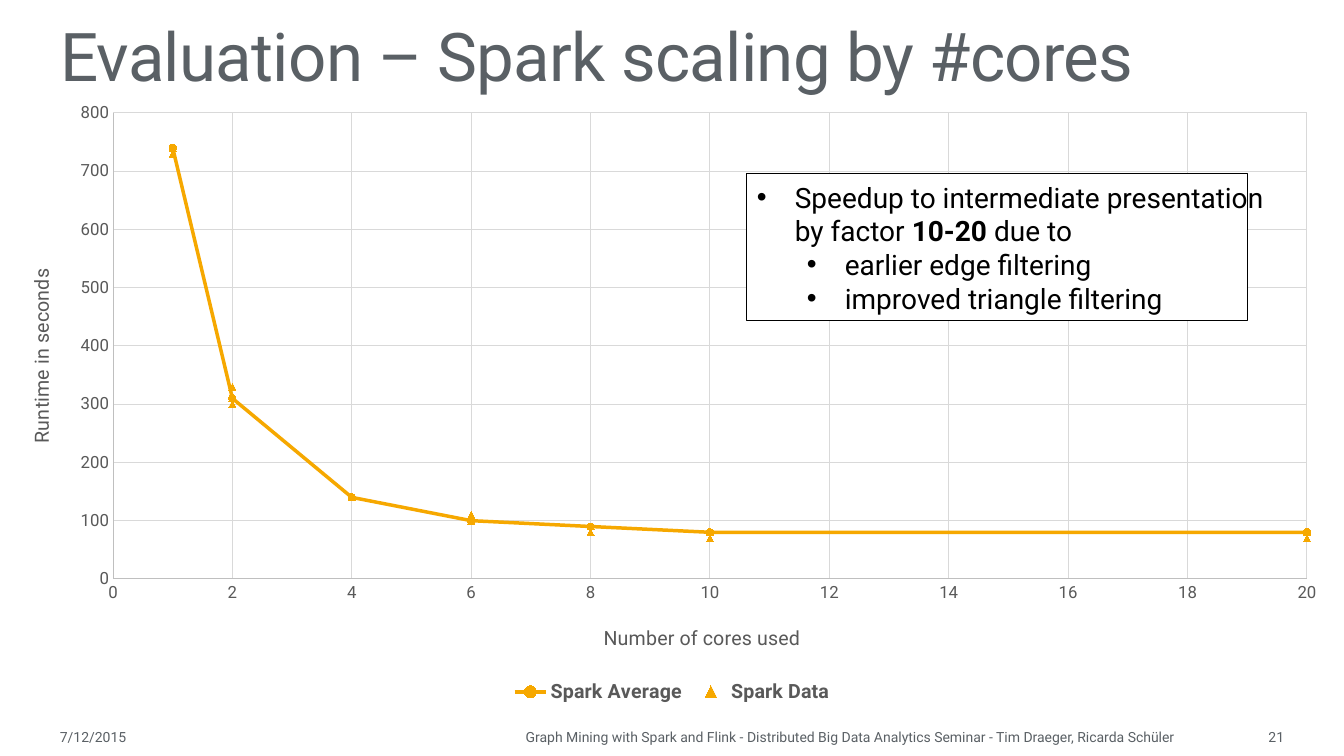
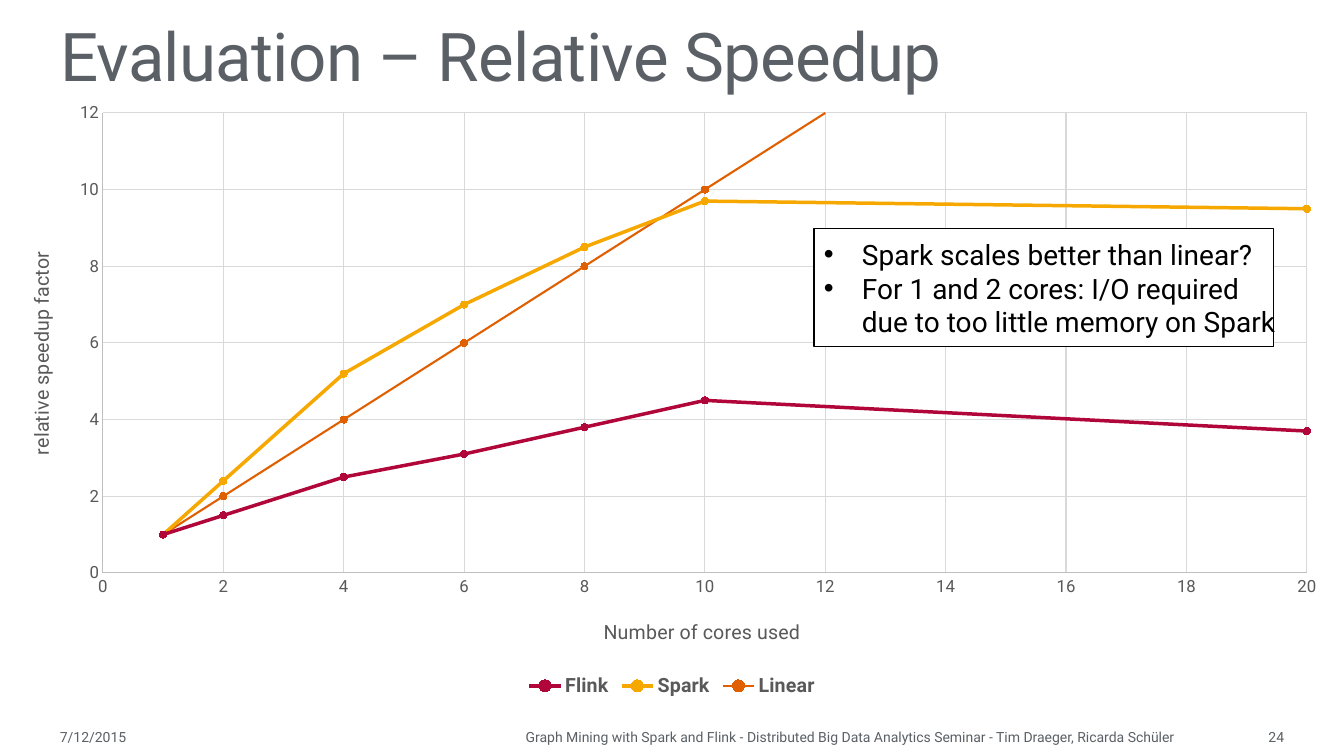
from pptx import Presentation
from pptx.chart.data import XyChartData
from pptx.dml.color import RGBColor
from pptx.enum.chart import XL_CHART_TYPE, XL_LEGEND_POSITION, XL_MARKER_STYLE, XL_TICK_MARK
from pptx.enum.shapes import MSO_SHAPE
from pptx.enum.text import MSO_ANCHOR, MSO_AUTO_SIZE, PP_ALIGN
from pptx.oxml import parse_xml
from pptx.oxml.ns import nsdecls, qn
from pptx.util import Emu, Pt

FONT = "Roboto"
SLATE, GRAY, GRID, AXIS = "5A6065", "595959", "D9D9D9", "BFBFBF"
AMBER, CRIMSON, ORANGE = "F6A800", "B1063A", "E05F00"
CORES = [1, 2, 4, 6, 8, 10, 20]
FOOTER = ("Graph Mining with Spark and Flink - Distributed Big Data Analytics Seminar"
          " - Tim Draeger, Ricarda Schüler")
CIRCLE, TRIANGLE = XL_MARKER_STYLE.CIRCLE, XL_MARKER_STYLE.TRIANGLE


def px(*lengths):
    """Turn pixel lengths into EMU."""
    return [Emu(round(n * 6858000 / 756)) for n in lengths]


def color(value):
    """Turn a hex string into a colour."""
    return RGBColor.from_string(value)


def style(font, size, hue, bold=False):
    """Apply the deck font with a size, colour and weight."""
    font.name, font.size, font.bold = FONT, Pt(size), bold
    font.color.rgb = color(hue)


def outline(line, hue, width):
    """Give a line a colour and a width in points."""
    line.color.rgb, line.width = color(hue), Pt(width)


def manual_layout(parent, index, **fractions):
    """Pin a chart part at fractions of the chart area."""
    for old in parent.findall(qn("c:layout")):
        parent.remove(old)
    target = '<c:layoutTarget val="inner"/>' if "w" in fractions else ""
    values = "".join(f'<c:{k} val="{v:.4f}"/>' for k, v in fractions.items())
    parent.insert(index, parse_xml(
        f'<c:layout {nsdecls("c")}><c:manualLayout>{target}<c:xMode val="edge"/>'
        f'<c:yMode val="edge"/>{values}</c:manualLayout></c:layout>'))


class Deck:
    """Holds the presentation, its style and the current slide."""

    def __init__(self):
        """Start an empty widescreen presentation."""
        self.prs = Presentation()
        self.prs.slide_width, self.prs.slide_height = px(1344, 756)

    def slide(self, title, number):
        """Add a slide with its title and footer."""
        self.s = self.prs.slides.add_slide(self.prs.slide_layouts[5])
        sp = self.s.shapes.title
        sp.left, sp.top, sp.width, sp.height = px(50, 0, 1113, 100)
        tf = sp.text_frame
        tf.text = title
        tf.auto_size, tf.vertical_anchor = MSO_AUTO_SIZE.NONE, MSO_ANCHOR.BOTTOM
        p = tf.paragraphs[0]
        p.alignment, p.line_spacing = PP_ALIGN.LEFT, 0.85
        r = p.runs[0]
        style(r.font, 48, SLATE)
        r.font._element.set("spc", "-50")
        self.footer("7/12/2015", 50, 106, PP_ALIGN.LEFT)
        self.footer(FOOTER, 160, 1024, PP_ALIGN.RIGHT)
        self.footer(str(number), 1188, 106, PP_ALIGN.RIGHT)

    def footer(self, text, left, width, align):
        """Add one footer text."""
        tf = self.s.shapes.add_textbox(*px(left, 717, width, 39)).text_frame
        tf.text, tf.word_wrap, tf.vertical_anchor = text, True, MSO_ANCHOR.MIDDLE
        p = tf.paragraphs[0]
        p.alignment = align
        style(p.runs[0].font, 10, SLATE)

    def callout(self, box, items):
        """Add a framed bullet list; ** marks bold text."""
        sp = self.s.shapes.add_shape(MSO_SHAPE.RECTANGLE, *px(*box))
        sp.shadow.inherit = False
        sp.fill.solid()
        sp.fill.fore_color.rgb = color("FFFFFF")
        outline(sp.line, "000000", 0.75)
        tf = sp.text_frame
        tf.word_wrap = False
        for i, (level, text) in enumerate(items):
            p = tf.add_paragraph() if i else tf.paragraphs[0]
            first, *rest = text.split("**")
            p.text = first
            for piece in rest:
                p.add_run().text = piece
            p.level, p.alignment = level, PP_ALIGN.LEFT
            margin, hang = px(38 + 50 * level, 38)
            pPr = p._p.get_or_add_pPr()
            pPr.set("marL", str(margin))
            pPr.set("indent", str(-hang))
            pPr.append(parse_xml(f'<a:buFont {nsdecls("a")} typeface="Arial"/>'))
            pPr.append(parse_xml(f'<a:buChar {nsdecls("a")} char="•"/>'))
            for r in p.runs:
                style(r.font, 20, "000000", r.text in rest[::2])

    def axis(self, axis, title, top, unit, spot):
        """Format one axis and place its title."""
        axis.minimum_scale, axis.maximum_scale, axis.major_unit = 0, top, unit
        axis.major_tick_mark = axis.minor_tick_mark = XL_TICK_MARK.NONE
        axis.has_major_gridlines = True
        outline(axis.major_gridlines.format.line, GRID, 0.75)
        outline(axis.format.line, AXIS, 0.75)
        style(axis.tick_labels.font, 12, GRAY)
        tf = axis.axis_title.text_frame
        tf.text = title
        style(tf.paragraphs[0].runs[0].font, 14, GRAY)
        manual_layout(axis.axis_title._element, 1, x=spot[0], y=spot[1])

    def scatter(self, box, plot, y_title, y_spot, y_top, y_unit, series, hidden=()):
        """Add a scatter chart of values by number of cores."""
        data = XyChartData()
        for name, values, *_ in series:
            xy = data.add_series(name)
            for point in zip(CORES, values):
                xy.add_data_point(*point)
        chart = self.s.shapes.add_chart(
            XL_CHART_TYPE.XY_SCATTER_LINES, *px(*box), data).chart
        left, top, width, height = box
        x0, y0, x1, y1 = plot

        def spot(x, y):
            return (x - left) / width, (y - top) / height

        chart.has_title = False
        style(chart.font, 10, "000000")
        self.axis(chart.category_axis, "Number of cores used", 20, 2, spot(600, y1 + 42))
        self.axis(chart.value_axis, y_title, y_top, y_unit, spot(24, y_spot))
        body = chart.value_axis.axis_title._element.find(".//" + qn("a:bodyPr"))
        body.set("rot", "-5400000")
        body.set("vert", "horz")
        x, y = spot(x0, y0)
        manual_layout(chart._chartSpace.chart.plotArea, 0, x=x, y=y,
                      w=(x1 - x0) / width, h=(y1 - y0) / height)
        chart.plots[0].vary_by_categories = False
        for ser, (_, _, hue, line_width, marker) in zip(chart.plots[0].series, series):
            ser.smooth = False
            if line_width:
                outline(ser.format.line, hue, line_width)
            else:
                ser.format.line.fill.background()
            ser.marker.style, ser.marker.size = marker, 5
            ser.marker.format.fill.solid()
            ser.marker.format.fill.fore_color.rgb = color(hue)
            outline(ser.marker.format.line, hue, 0.75)
        chart.has_legend = True
        legend = chart.legend
        legend.position, legend.include_in_layout = XL_LEGEND_POSITION.BOTTOM, False
        style(legend.font, 14, GRAY, True)
        for i, idx in enumerate(hidden):
            legend._element.insert(1 + i, parse_xml(
                f'<c:legendEntry {nsdecls("c")}><c:idx val="{idx}"/>'
                '<c:delete val="1"/></c:legendEntry>'))


def main():
    """Build and save the two evaluation slides."""
    deck = Deck()
    deck.slide("Evaluation – Spark scaling by #cores", 21)
    runs = [
        ("Spark Data", [740, 300, 140, 100, 90, 80, 80]),
        ("Series 3", [740, 330, 140, 100, 80, 80, 80]),
        ("Series 4", [740, 310, 140, 110, 90, 80, 70]),
        ("Series 5", [740, 310, 140, 110, 90, 70, 80]),
        ("Series 6", [730, 300, 140, 100, 80, 80, 80]),
    ]
    average = ("Spark Average", [740, 310, 140, 100, 90, 80, 80], AMBER, 2.5, CIRCLE)
    deck.scatter((0, 91, 1344, 617), (113, 113, 1307, 579), "Runtime in seconds", 265,
                 800, 100, [average] + [(*run, AMBER, 0, TRIANGLE) for run in runs],
                 hidden=range(2, 6))
    deck.callout((747, 174, 501, 147), [
        (0, "Speedup to intermediate presentation\nby factor **10-20 **due to"),
        (1, "earlier edge filtering"),
        (1, "improved triangle filtering"),
    ])

    deck.slide("Evaluation – Relative Speedup", 24)
    deck.scatter((0, 92, 1344, 610), (103, 113, 1307, 573), "relative speedup factor", 248,
                 12, 2, [
                     ("Flink", [1, 1.5, 2.5, 3.1, 3.8, 4.5, 3.7], CRIMSON, 2.5, CIRCLE),
                     ("Spark", [1, 2.4, 5.2, 7, 8.5, 9.7, 9.5], AMBER, 2.5, CIRCLE),
                     ("Linear", CORES, ORANGE, 1.5, CIRCLE),
                 ])
    deck.callout((814, 229, 460, 118), [
        (0, "Spark scales better than linear?"),
        (0, "For 1 and 2 cores: I/O required\ndue to too little memory on Spark"),
    ])
    deck.prs.save("out.pptx")


if __name__ == "__main__":
    main()
